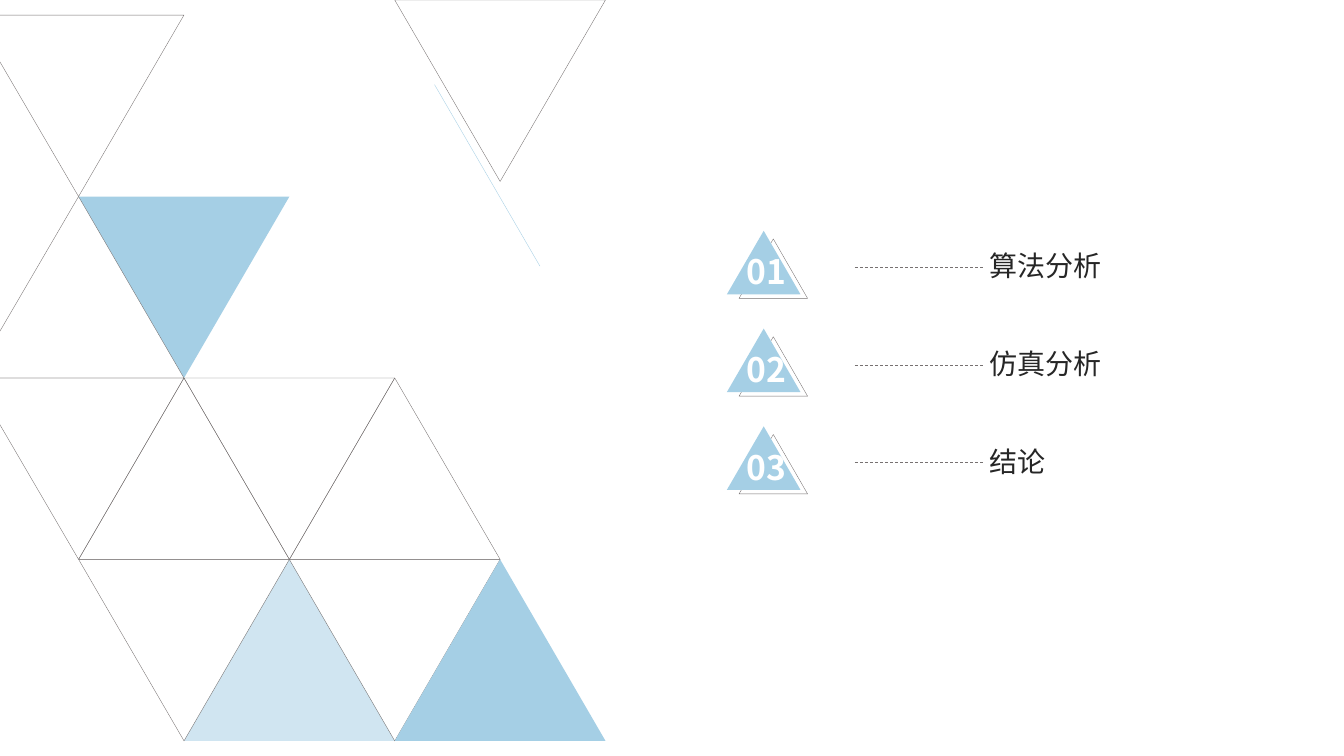
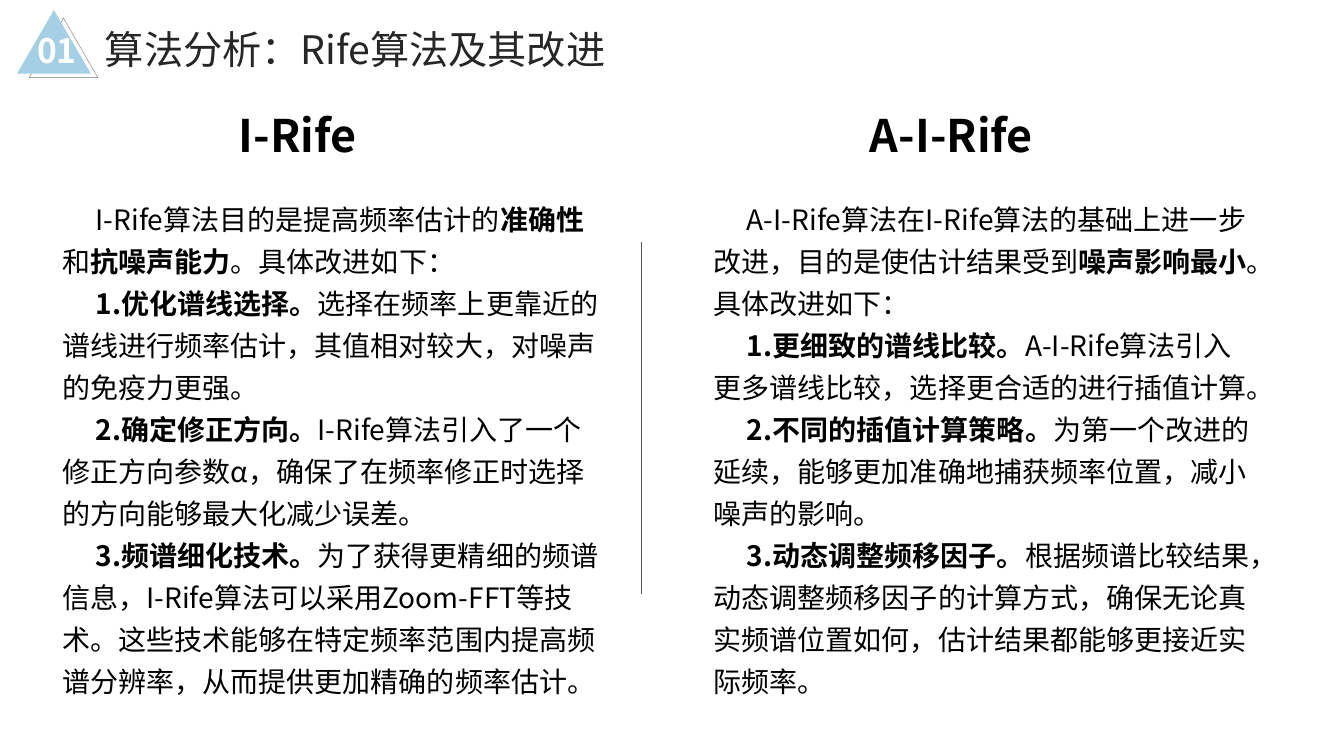
from dataclasses import dataclass

from lxml import etree
from pptx import Presentation
from pptx import util as u
from pptx.dml.color import RGBColor
from pptx.enum import dml, shapes, text
from pptx.oxml.ns import qn

# Shared look
FONT = "Noto Sans CJK SC"
BLUE, GREY, DARK, INK, WHITE = "A5CFE5", "767171", "262626", "000000", "FFFFFF"
DIVIDER = "595959"
HAIRLINE = 0.25

# Triangle lattice of the agenda slide: columns are half a triangle wide
LATTICE_LEFT, LATTICE_TOP = 0.78, 0.15
COLUMN, ROW = 1.045, 1.8
EDGE = -0.02

# Agenda rows and text columns
AGENDA_TOP, AGENDA_PITCH = 2.29, 0.97
BODY_WIDTH = 5.53


@dataclass(frozen=True)
class Triangle:
    column: float
    row: float
    down: bool = False
    fill: str | None = None
    opacity: int = 100


@dataclass(frozen=True)
class Style:
    size: float
    colour: str = INK
    bold: bool = False
    justify: bool = False
    indent: float = 0
    spacing: float | None = None


@dataclass(frozen=True)
class Column:
    heading: str
    heading_left: float
    body_left: float
    paragraphs: tuple[str, ...]


NUMBER = Style(24, WHITE, bold=True)
AGENDA = Style(20, DARK, justify=True)
TITLE = Style(28, DARK, justify=True)
HEADING = Style(32, bold=True)
BODY = Style(20, indent=0.33, spacing=1.25)

TRIANGLES = (
    Triangle(3, -LATTICE_TOP / ROW, down=True),
    Triangle(1, 2, down=True),
    Triangle(1, 3, fill=BLUE, opacity=52),
    Triangle(0, 2),
    Triangle(2, 3, down=True),
    Triangle(3, 3, fill=BLUE),
    Triangle(0, 3, down=True),
    Triangle(0, 1, down=True, fill=BLUE),
    Triangle(2, 2),
)
TOPICS = ("算法分析", "仿真分析", "结论")

# Asterisks enclose bold words
COLUMNS = (
    Column("A-I-Rife", 8.53, 6.98, (
        "A-I-Rife算法在I-Rife算法的基础上进一步改进，目的是使估计结果受到*噪声影响最小*。具体改进如下：",
        "*1.更细致的谱线比较。*A-I-Rife算法引入更多谱线比较，选择更合适的进行插值计算。",
        "*2.不同的插值计算策略。*为第一个改进的延续，能够更加准确地捕获频率位置，减小噪声的影响。",
        "*3.动态调整频移因子。*根据频谱比较结果，动态调整频移因子的计算方式，"
        "确保无论真实频谱位置如何，估计结果都能够更接近实际频率。",
    )),
    Column("I-Rife", 2.27, 0.52, (
        "I-Rife算法目的是提高频率估计的*准确性*和*抗噪声能力*。具体改进如下：",
        "*1.优化谱线选择。*选择在频率上更靠近的谱线进行频率估计，其值相对较大，对噪声的免疫力更强。",
        "*2.确定修正方向。*I-Rife算法引入了一个修正方向参数α，确保了在频率修正时选择的方向能够最大化减少误差。",
        "*3.频谱细化技术。*为了获得更精细的频谱信息，I-Rife算法可以采用Zoom-FFT等技术。"
        "这些技术能够在特定频率范围内提高频谱分辨率，从而提供更加精确的频率估计。",
    )),
)


def colour(value: str) -> RGBColor:
    return RGBColor.from_string(value)


def paint(shape, fill: str | None, opacity: int = 100) -> None:
    """A filled shape has no line; an unfilled one has a grey hairline."""
    shape.shadow.inherit = False
    if fill is None:
        shape.fill.background()
        shape.line.color.rgb = colour(GREY)
        shape.line.width = u.Pt(HAIRLINE)
        return
    shape.fill.solid()
    shape.fill.fore_color.rgb = colour(fill)
    shape.line.fill.background()
    if opacity < 100:
        tint = shape.fill._xPr.find(qn("a:solidFill"))[0]
        etree.SubElement(tint, qn("a:alpha")).set("val", str(opacity * 1000))


def add_triangle(slide, left: float, top: float, width: float, height: float,
                 fill: str | None = None, opacity: int = 100, down: bool = False) -> None:
    shape = slide.shapes.add_shape(
        shapes.MSO_SHAPE.ISOSCELES_TRIANGLE,
        u.Inches(left), u.Inches(top), u.Inches(width), u.Inches(height))
    shape.rotation = 180 if down else 0
    paint(shape, fill, opacity)


def add_outline(slide, points: list[tuple[float, float]]) -> None:
    corners = [(u.Inches(x), u.Inches(y)) for x, y in points]
    builder = slide.shapes.build_freeform(*corners[0])
    builder.add_line_segments(corners[1:], close=True)
    paint(builder.convert_to_shape(), None)


def add_line(slide, start: tuple[float, float], end: tuple[float, float],
             line_colour: str, width: float, dashed: bool = False) -> None:
    line = slide.shapes.add_connector(
        shapes.MSO_CONNECTOR.STRAIGHT, *(u.Inches(value) for value in start + end))
    line.line.color.rgb = colour(line_colour)
    line.line.width = u.Pt(width)
    if dashed:
        line.line.dash_style = dml.MSO_LINE.DASH
    etree.SubElement(line._element.spPr, qn("a:effectLst"))


def add_run(paragraph, words: str, style: Style, bold: bool) -> None:
    run = paragraph.add_run()
    run.text = words
    run.font.name = FONT
    run.font.size = u.Pt(style.size)
    run.font.bold = bold
    run.font.color.rgb = colour(style.colour)
    east_asian = etree.SubElement(run.font._element, qn("a:ea"))
    east_asian.set("typeface", FONT)


def add_text(slide, left: float, top: float, width: float, height: float,
             paragraphs: tuple[str, ...], style: Style, inset: bool = True) -> None:
    box = slide.shapes.add_textbox(
        u.Inches(left), u.Inches(top), u.Inches(width), u.Inches(height))
    frame = box.text_frame
    frame.word_wrap = True
    if not inset:
        frame.margin_left = frame.margin_right = frame.margin_top = frame.margin_bottom = 0
        frame.vertical_anchor = text.MSO_ANCHOR.MIDDLE
    for index, words in enumerate(paragraphs):
        paragraph = frame.add_paragraph() if index else frame.paragraphs[0]
        if style.justify:
            paragraph.alignment = text.PP_ALIGN.JUSTIFY
        if style.spacing:
            paragraph.line_spacing = style.spacing
        if style.indent:
            paragraph._p.get_or_add_pPr().set("indent", str(u.Inches(style.indent)))
        for part, piece in enumerate(words.split("*")):
            if piece:
                add_run(paragraph, piece, style, style.bold or part % 2 == 1)


def add_badge(slide, left: float, top: float, number: int) -> None:
    """Section number on a blue triangle with an offset outline behind it."""
    add_triangle(slide, left + 0.12, top + 0.08, 0.68, 0.59)
    add_triangle(slide, left, top, 0.73, 0.63, BLUE)
    add_text(slide, left + 0.1, top + 0.15, 0.68, 0.5, (f"{number:02d}",), NUMBER)


def lattice(column: float, row: float) -> tuple[float, float]:
    return LATTICE_LEFT + column * COLUMN, LATTICE_TOP + row * ROW


def add_cut_triangle(slide, base_row: int, tip_row: int) -> None:
    """Triangle cut off by the left edge of the slide."""
    right, base = lattice(1, base_row)
    cut = base + (tip_row - base_row) * 0.43
    add_outline(slide, [(right, base), (EDGE, base), (EDGE, cut), lattice(0, tip_row)])


def build_agenda(slide) -> None:
    # Triangle pattern
    for triangle in TRIANGLES:
        add_triangle(slide, *lattice(triangle.column, triangle.row), 2 * COLUMN, ROW,
                     triangle.fill, triangle.opacity, triangle.down)
    for base_row, tip_row in ((0, 1), (2, 1), (2, 3)):
        add_cut_triangle(slide, base_row, tip_row)
    add_line(slide, (4.31, 0.84), (4.31 + COLUMN, 0.84 + ROW), BLUE, HAIRLINE)

    # Numbered topics
    for index, topic in enumerate(TOPICS):
        top = AGENDA_TOP + index * AGENDA_PITCH
        add_badge(slide, 7.21, top, index + 1)
        add_text(slide, 9.81, top + 0.09, 2.41, 0.51, (topic,), AGENDA, inset=False)
        add_line(slide, (8.48, top + 0.36), (9.75, top + 0.36), GREY, 0.5, dashed=True)


def build_comparison(slide) -> None:
    # Title
    add_badge(slide, 0.17, 0.1, 1)
    add_text(slide, 1.04, 0.23, 5.32, 0.51, ("算法分析：Rife算法及其改进",), TITLE, inset=False)

    # Two columns and their divider
    add_line(slide, (6.36, 2.4), (6.36, 5.89), DIVIDER, 0.5)
    for column in COLUMNS:
        add_text(slide, column.heading_left, 1.02, 5.06, 0.64, (column.heading,), HEADING)
        add_text(slide, column.body_left, 1.88, BODY_WIDTH, 5.11, column.paragraphs, BODY)


def main() -> None:
    presentation = Presentation()
    presentation.slide_width, presentation.slide_height = u.Inches(13.33), u.Inches(7.5)
    blank = presentation.slide_layouts[6]
    for build in (build_agenda, build_comparison):
        build(presentation.slides.add_slide(blank))
    presentation.save("out.pptx")


if __name__ == "__main__":
    main()
